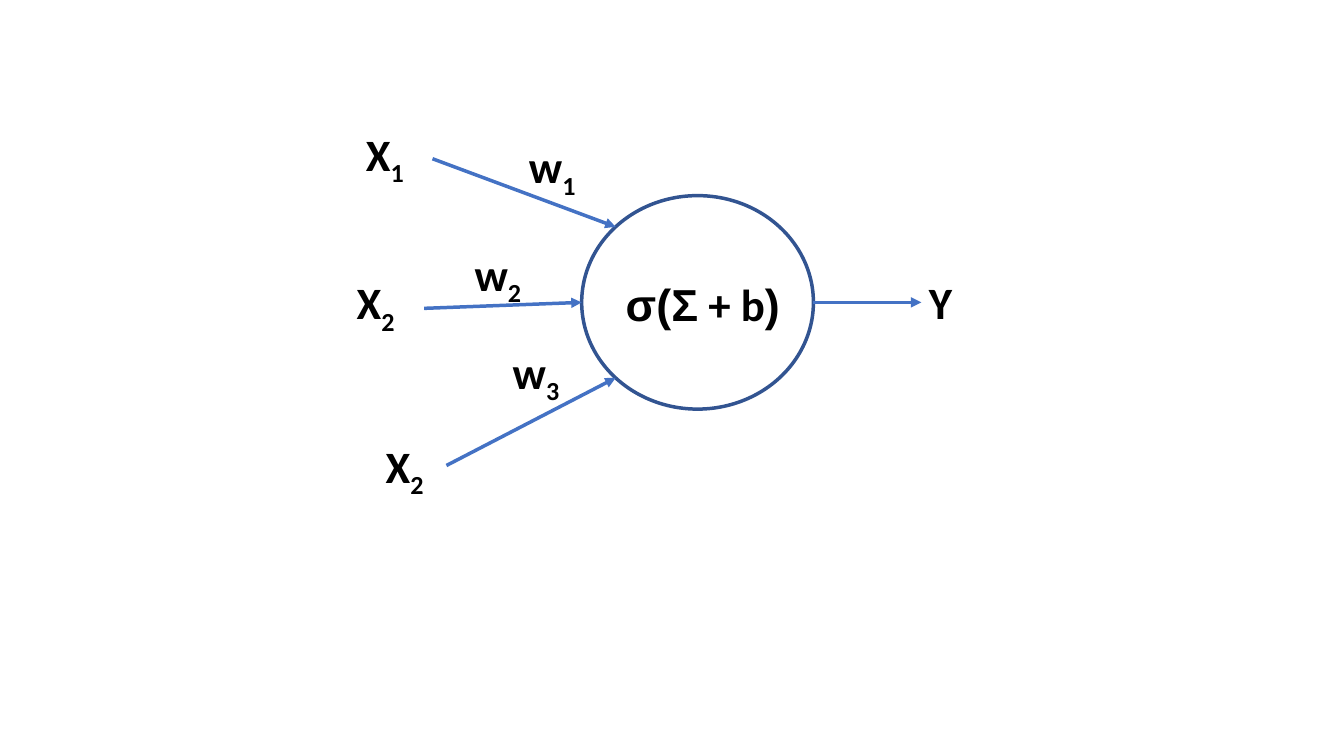
from math import sqrt

from lxml import etree
from pptx import Presentation
from pptx.dml.color import RGBColor
from pptx.enum.shapes import MSO_CONNECTOR, MSO_SHAPE
from pptx.enum.text import MSO_AUTO_SIZE
from pptx.oxml.ns import qn
from pptx.util import Cm, Pt


def color(value):
    return RGBColor.from_string(value)


def add_run(p, text, font="Calibri", size=32, fill="000000", bold=True, baseline=None):
    r = p.add_run()
    r.text = text
    r.font.name = font
    r.font.size = Pt(size)
    r.font.bold = bold
    r.font.color.rgb = color(fill)
    if baseline:
        r.font._element.set("baseline", str(baseline))


class Diagram:
    outline = "325491"
    arrow_color = "4472C4"
    line_width = Pt(2.5)

    def __init__(self, slide):
        self.shapes = slide.shapes

    def ellipse(self, left, top, width, height):
        sp = self.shapes.add_shape(MSO_SHAPE.OVAL, Cm(left), Cm(top), Cm(width), Cm(height))
        sp.shadow.inherit = False
        sp.fill.background()
        sp.line.color.rgb = color(self.outline)
        sp.line.width = self.line_width

    def arrow(self, start, end):
        points = [Cm(v) for v in (*start, *end)]
        cxn = self.shapes.add_connector(MSO_CONNECTOR.STRAIGHT, *points)
        cxn.line.color.rgb = color(self.arrow_color)
        cxn.line.width = self.line_width
        etree.SubElement(cxn.line._get_or_add_ln(), qn("a:tailEnd"), type="triangle")
        etree.SubElement(cxn._element.spPr, qn("a:effectLst"))

    def text(self, left, top, width, *runs):
        sp = self.shapes.add_textbox(Cm(left), Cm(top), Cm(width), Cm(1.62))
        tf = sp.text_frame
        tf.word_wrap = True
        tf.auto_size = MSO_AUTO_SIZE.SHAPE_TO_FIT_TEXT
        for text, style in runs:
            add_run(tf.paragraphs[0], text, **style)

    def symbol(self, left, top, letter, index):
        self.text(left, top, 1.78, (letter, {}), (index, {"baseline": -25000}))


def main():
    prs = Presentation()
    prs.slide_width, prs.slide_height = Cm(33.87), Cm(19.05)
    s = prs.slides.add_slide(prs.slide_layouts[6])
    diagram = Diagram(s)

    cx, cy, rx, ry = 17.58, 7.62, 2.92, 2.69
    dx, dy = rx / sqrt(2), ry / sqrt(2)
    diagram.ellipse(cx - rx, cy - ry, 2 * rx, 2 * ry)

    inputs = [
        ((8.97, 3.07), "1", (10.9, 4.0), (cx - dx, cy - dy), (13.08, 3.38), "1"),
        ((8.74, 6.81), "2", (10.69, 7.77), (cx - rx, cy), (11.71, 6.1), "2"),
        ((9.47, 10.92), "2", (11.25, 11.73), (cx - dx, cy + dy), (12.67, 8.56), "3"),
    ]
    for input_at, input_index, start, end, weight_at, weight_index in inputs:
        diagram.symbol(*input_at, "X", input_index)
        diagram.arrow(start, end)
        diagram.symbol(*weight_at, "w", weight_index)

    arial = {"font": "Arial"}
    diagram.text(15.52, 6.86, 4.83, ("σ(Σ", arial), (" + b", {}), (")", arial))
    diagram.arrow((cx + rx, cy), (23.22, cy))
    diagram.text(23.16, 6.81, 1.47, ("Y", {}))

    prs.save("out.pptx")


if __name__ == "__main__":
    main()
